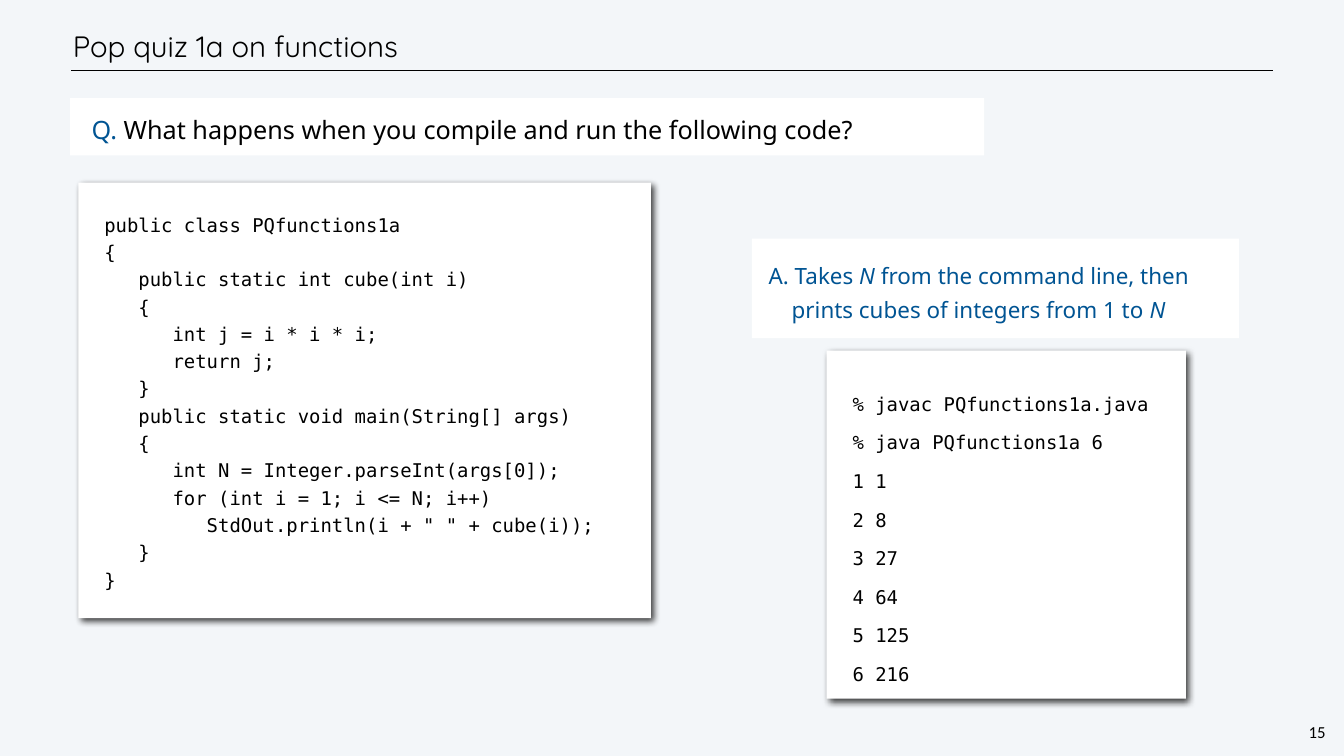
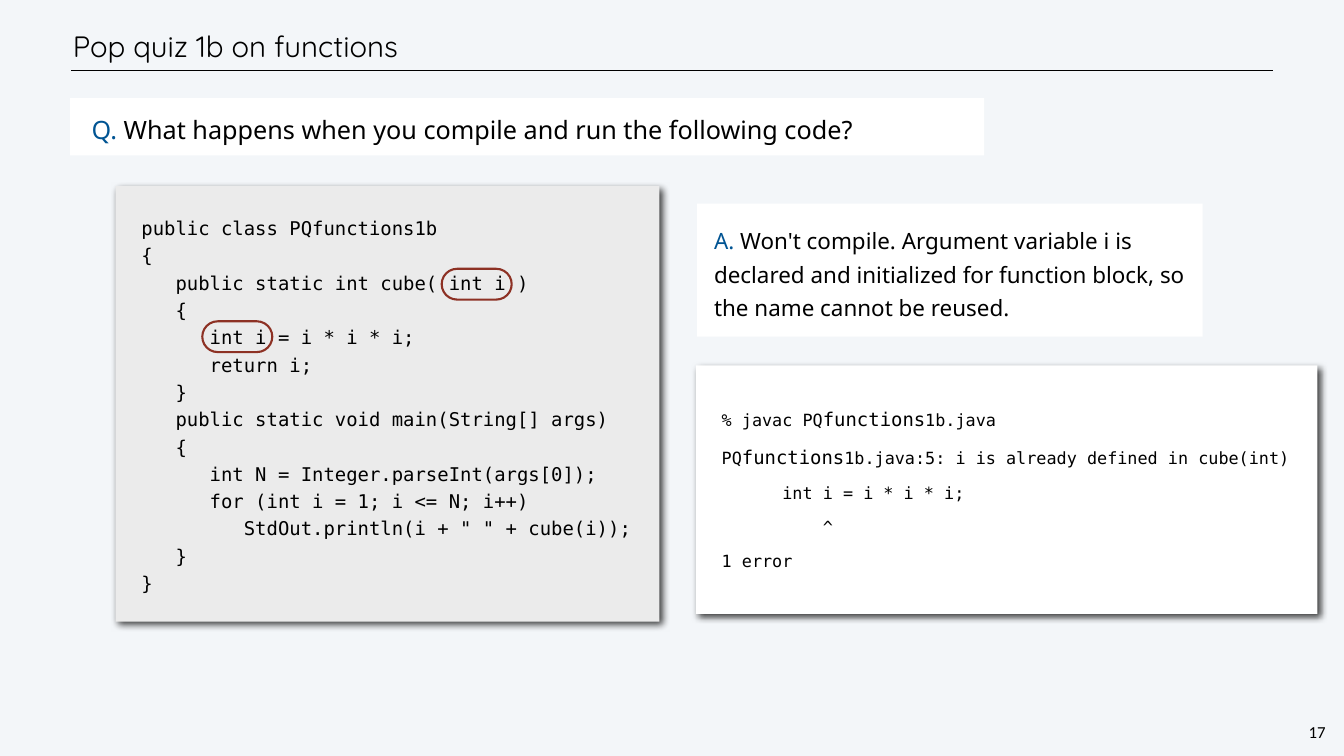
import pptx
import pptx.util
import pptx.dml.color
import pptx.enum.shapes
import pptx.enum.text
import pptx.oxml
import pptx.oxml.ns
from pptx.util import Pt

# Shared look
BACKGROUND, WHITE, GREY = "F3F6F9", "FFFFFF", "EBEBEB"
BLACK, BLUE, RED = "000000", "005493", "8D3124"
TITLE_FONT, TEXT_FONT = "Quicksand", "Noto Sans"
CODE_FONT, NUMBER_FONT = "DejaVu Sans Mono", "Calibri"
CODE_SIZE, ERROR_SIZE = 27, 24
BREAK = "\n"

# Content: a run is (text, what differs from its paragraph)
QUESTION = [
    ("Q. ", {"color": BLUE}),
    ("What happens when you compile and run the following code?", {}),
]
MAIN = [
    "   public static void main(String[] args)",
    "   {",
    "      int N = Integer.parseInt(args[0]);",
    "      for (int i = 1; i <= N; i++)",
    '         StdOut.println(i + " " + cube(i));',
    "   }",
    "}",
]
LARGER = {"size": CODE_SIZE}

QUIZZES = [
    {
        "title": "Pop quiz 1a on functions",
        "number": "15",
        "code": [
            "public class PQfunctions1a",
            "{",
            "   public static int cube(int i)",
            "   {",
            "      int j = i * i * i;",
            "      return j;",
            "   }",
        ] + MAIN,
        "code_box": (112, 261, 818, 622),
        "code_fill": WHITE,
        "answer": [
            ("A. Takes ", {}),
            ("N", {"italic": True}),
            (" from the command line, then", {}),
            (BREAK, {}),
            ("prints cubes of integers from 1 to ", {}),
            ("N", {"italic": True}),
        ],
        "answer_color": BLUE,
        "answer_hang": 33,
        "answer_box": (1074, 341, 696, 142),
        "console": [[(line, {})] for line in (
            "% javac PQfunctions1a.java", "% java PQfunctions1a 6",
            "1 1", "2 8", "3 27", "4 64", "5 125", "6 216")],
        "console_size": CODE_SIZE,
        "console_box": (1181, 501, 513, 497),
        "rings": [],
    },
    {
        "title": "Pop quiz 1b on functions",
        "number": "17",
        "code": [
            "public class PQfunctions1b",
            "{",
            "   public static int cube( int i )",
            "   {",
            "      int i = i * i * i;",
            "      return i;",
            "   }",
        ] + MAIN,
        "code_box": (165, 266, 777, 622),
        "code_fill": GREY,
        "answer": [
            ("A. ", {"color": BLUE}),
            ("Won't compile. Argument variable i is declared and initialized "
             "for function block, so the name cannot be reused.", {}),
        ],
        "answer_color": BLACK,
        "answer_hang": 0,
        "answer_box": (996, 291, 722, 190),
        "console": [
            [("% javac PQ", {}), ("functions", LARGER), ("1b.java", {})],
            [("PQ", {}), ("functions", LARGER),
             ("1b.java:5: i is already defined in cube(int)", {})],
            [("      int i = i * i * i;", {})],
            [("          ^", {})],
            [("1 error", {})],
        ],
        "console_size": ERROR_SIZE,
        "console_box": (994, 522, 888, 355),
        "rings": [(289, 459), (631, 384)],
    },
]

# Shared layout
TITLE_BOX = (100, 30, 1629, 71)
RULE = (102, 101, 1819, 101)
QUESTION_BOX = (100, 140, 1306, 82)
NUMBER_BOX = (1866, 1029, 31, 34)
RING_SIZE = (100, 44)
SHADOW = (
    '<a:outerShdw %s blurRad="127000" dist="76200" dir="2700000" '
    'algn="tl" rotWithShape="0"><a:srgbClr val="000000">'
    '<a:alpha val="75000"/></a:srgbClr></a:outerShdw>'
    % pptx.oxml.ns.nsdecls("a"))


def paint(target, color):
    """Give a fill one solid colour."""
    target.solid()
    target.fore_color.rgb = rgb(color)


def rgb(color):
    return pptx.dml.color.RGBColor.from_string(color)


def place(part, box):
    part.left, part.top, part.width, part.height = map(Pt, box)


def write(part, paragraphs, font, size, color=BLACK, spacing=None, inset=0,
          align=pptx.enum.text.PP_ALIGN.LEFT, wrap=True, margin=0, indent=0,
          anchor=pptx.enum.text.MSO_ANCHOR.TOP):
    """Fill a part with paragraphs, each a list of runs."""
    frame = part.text_frame
    frame.auto_size = pptx.enum.text.MSO_AUTO_SIZE.NONE
    frame.word_wrap = wrap
    frame.vertical_anchor = anchor
    frame.margin_left = frame.margin_right = Pt(inset)
    frame.margin_top = frame.margin_bottom = Pt(inset)
    for index, runs in enumerate(paragraphs):
        paragraph = frame.add_paragraph() if index else frame.paragraphs[0]
        paragraph.alignment = align
        paragraph.line_spacing = spacing
        paragraph.space_before = paragraph.space_after = Pt(0)
        properties = paragraph._p.get_or_add_pPr()
        properties.set("marL", str(Pt(margin)))
        properties.set("indent", str(Pt(indent)))
        properties.append(pptx.oxml.parse_xml(
            "<a:buNone %s/>" % pptx.oxml.ns.nsdecls("a")))
        for text, change in runs:
            if text == BREAK:
                paragraph.add_line_break()
                continue
            run = paragraph.add_run()
            run.text = text
            run.font.name = font
            run.font.size = Pt(change.get("size", size))
            run.font.italic = change.get("italic", False)
            run.font.color.rgb = rgb(change.get("color", color))


def add_panel(slide, box, fill, shadow=False):
    panel = slide.shapes.add_shape(
        pptx.enum.shapes.MSO_SHAPE.RECTANGLE, *map(Pt, box))
    paint(panel.fill, fill)
    panel.line.fill.background()
    panel.shadow.inherit = False
    if shadow:
        effects = panel._element.spPr.find(pptx.oxml.ns.qn("a:effectLst"))
        effects.append(pptx.oxml.parse_xml(SHADOW))
    return panel


def add_ring(slide, left, top):
    ring = slide.shapes.add_shape(
        pptx.enum.shapes.MSO_SHAPE.ROUNDED_RECTANGLE,
        *map(Pt, (left, top) + RING_SIZE))
    ring.adjustments[0] = 0.5
    ring.fill.background()
    ring.line.color.rgb = rgb(RED)
    ring.line.width = Pt(3)
    ring.shadow.inherit = False


def add_frame(slide, title, number):
    """Title, rule, question and page number."""
    heading, question = slide.placeholders
    place(heading, TITLE_BOX)
    write(heading, [[(title, {})]], TITLE_FONT, 42, spacing=Pt(50), inset=4,
          anchor=pptx.enum.text.MSO_ANCHOR.MIDDLE)

    rule = slide.shapes.add_connector(
        pptx.enum.shapes.MSO_CONNECTOR.STRAIGHT, *map(Pt, RULE))
    rule.line.color.rgb = rgb(BLACK)
    rule.line.width = Pt(1)
    rule._element.spPr.append(pptx.oxml.parse_xml(
        "<a:effectLst %s/>" % pptx.oxml.ns.nsdecls("a")))

    place(question, QUESTION_BOX)
    paint(question.fill, WHITE)
    write(question, [QUESTION], TEXT_FONT, 36, spacing=Pt(43), inset=24,
          indent=7)

    page = slide.shapes.add_textbox(*map(Pt, NUMBER_BOX))
    write(page, [[(number, {})]], NUMBER_FONT, 24, spacing=Pt(28), inset=3,
          align=pptx.enum.text.PP_ALIGN.CENTER, wrap=False)


def add_quiz(slide, quiz):
    add_frame(slide, quiz["title"], quiz["number"])

    # Program
    program = add_panel(slide, quiz["code_box"], quiz["code_fill"], True)
    write(program, [[(line, {})] for line in quiz["code"]], CODE_FONT,
          CODE_SIZE, spacing=Pt(39), inset=37)

    # Answer
    answer = add_panel(slide, quiz["answer_box"], WHITE)
    hang = quiz["answer_hang"]
    write(answer, [quiz["answer"]], TEXT_FONT, 32, quiz["answer_color"],
          spacing=Pt(48), inset=24, margin=hang, indent=-hang)

    # Marks on the program
    for left, top in quiz["rings"]:
        add_ring(slide, left, top)

    # Console session
    console = add_panel(slide, quiz["console_box"], WHITE, True)
    write(console, quiz["console"], CODE_FONT, quiz["console_size"],
          spacing=1.7, inset=37)


def main():
    deck = pptx.Presentation()
    deck.slide_width, deck.slide_height = Pt(1920), Pt(1080)
    paint(deck.slide_master.background.fill, BACKGROUND)
    for quiz in QUIZZES:
        add_quiz(deck.slides.add_slide(deck.slide_layouts[1]), quiz)
    deck.save("out.pptx")


if __name__ == "__main__":
    main()
